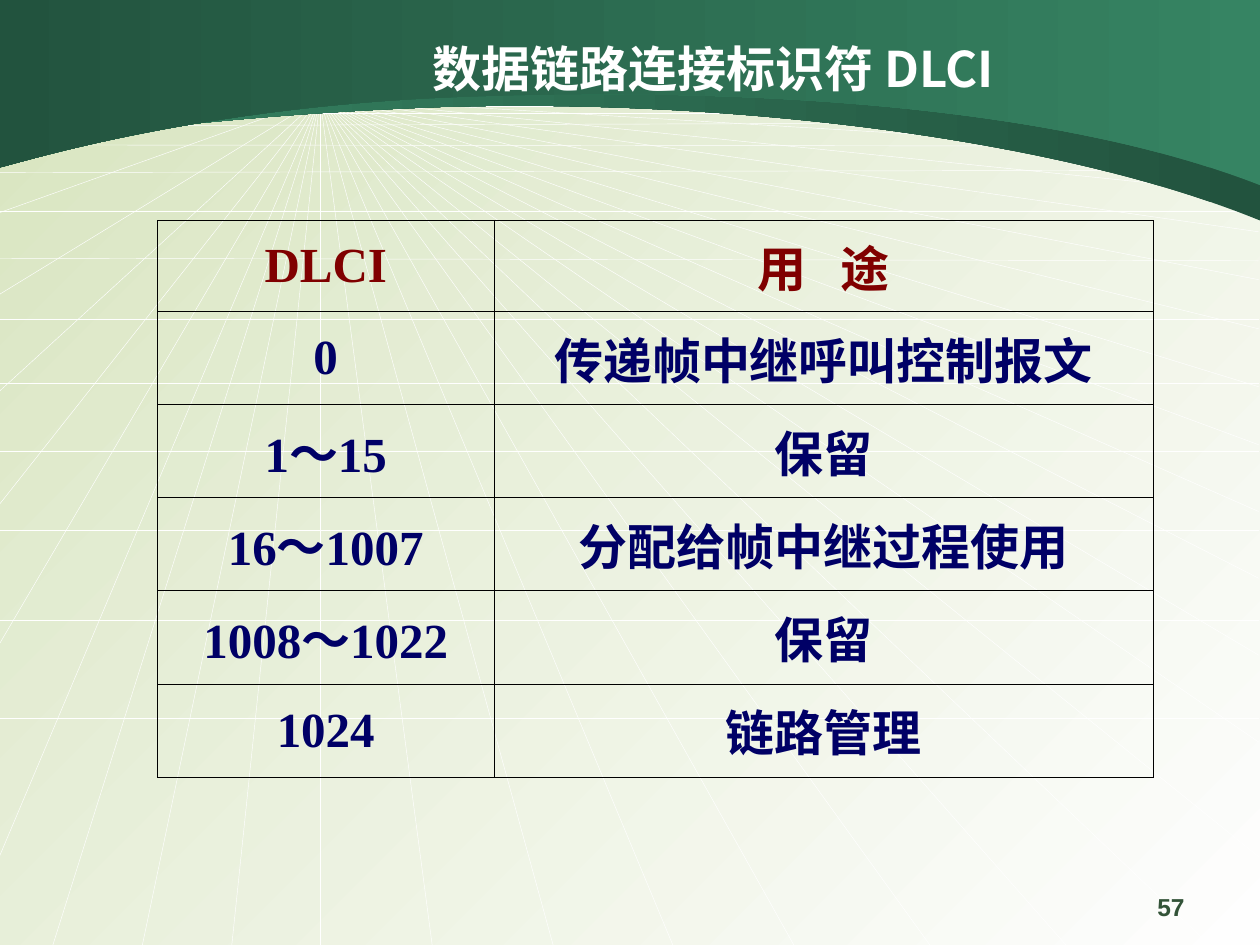
from lxml.etree import SubElement
from pptx import Presentation
from pptx.dml.color import RGBColor
from pptx.enum.shapes import MSO_CONNECTOR
from pptx.enum.text import MSO_ANCHOR, PP_ALIGN
from pptx.oxml.ns import qn
from pptx.oxml.xmlchemy import OxmlElement
from pptx.util import Inches, Pt

TITLE = "数据链路连接标识符 DLCI"
ROWS = [
    ("DLCI", "用   途"),
    ("0", "传递帧中继呼叫控制报文"),
    ("1～15", "保留"),
    ("16～1007", "分配给帧中继过程使用"),
    ("1008～1022", "保留"),
    ("1024", "链路管理"),
]
PAGE = "57"
COLS = (2.67, 5.23)
HEIGHTS = [0.72] + [0.74] * 5
HAN = "Noto Sans CJK SC"
DARK, LIGHT = "22533E", "368463"
HUB = (2.54, 0.78)
RIGHT = (1, 1.23, 1.54, 1.84, 2.22, 2.61, 3.07, 3.53, 4.06, 4.59, 5.2, 5.89, 6.8)
BASE = (0.42, 1.13, 1.84, 2.54, 3.43, 4.39, 5.34, 6.3, 7.38, 8.46, 9.6)
LEFT = (0.78, 0.97, 1.16, 1.69, 2.34, 3.11, 4.01, 5.12, 6.81)
LEVELS = [(0.84, 0.84), (0.9, 0.9), (1, 0.97), (1.15, 1.16), (1.37, 1.35),
          (1.68, 1.68), (2.05, 2.07), (2.53, 2.53), (3.04, 3.04), (3.58, 3.58),
          (4.21, 4.21), (4.92, 4.92), (5.7, 5.7)]
BANDS = [
    ([(-0.01, 1.19), (0.11, 1.18), (1.33, 0.93), (3.47, 0.85),
      (5.61, 0.78), (8.31, 1.06), (10, 1.75)], DARK, LIGHT),
    ([(-0.01, 1.33), (0.11, 1.31), (1.51, 0.85), (3.64, 0.77),
      (5.77, 0.69), (8.31, 0.81), (10, 1.47)], LIGHT, DARK),
]


def rgb(code):
    return RGBColor.from_string(code)


def put(frame, text, size=28, color="FFFFFF", face=HAN, align=PP_ALIGN.CENTER,
        anchor=MSO_ANCHOR.MIDDLE):
    frame.word_wrap = True
    frame.vertical_anchor = anchor
    para = frame.paragraphs[0]
    para.alignment = align
    run = para.add_run()
    run.text = text
    font = run.font
    font.size, font.bold, font.name = Pt(size), True, face
    font.color.rgb = rgb(color)
    SubElement(font._element, qn("a:ea")).set("typeface", HAN)


def shade(fill, first, last, angle):
    fill.gradient()
    fill.gradient_angle = angle
    for stop, code in zip(fill.gradient_stops, (first, last)):
        stop.color.rgb = rgb(code)


def ray(shapes, start, end):
    line = shapes.add_connector(MSO_CONNECTOR.STRAIGHT, *map(Inches, start + end))
    line.line.color.rgb = rgb("FFFFFF")
    line.line.width = Pt(0.25)
    SubElement(line._element.spPr, qn("a:effectLst"))
    return line


def bend(shape, count):
    lines = list(shape._element.iter(qn("a:lnTo")))[1:count]
    for i in range(0, len(lines), 3):
        arc = OxmlElement("a:cubicBezTo")
        lines[i].addprevious(arc)
        for line in lines[i:i + 3]:
            arc.append(line[0])
            line.getparent().remove(line)


def band(shapes, knots, first, last):
    pen = shapes.build_freeform(Inches(-0.01), 0)
    edge = [(Inches(x), Inches(y)) for x, y in knots + [(10, 0)]]
    pen.add_line_segments(edge, close=True)
    shape = pen.convert_to_shape()
    bend(shape, len(knots))
    shape.shadow.inherit = False
    shape.line.fill.background()
    shade(shape.fill, first, last, 180)
    return shape


def border(cell):
    props = cell._tc.get_or_add_tcPr()
    for side in ("lnL", "lnR", "lnT", "lnB"):
        line = SubElement(props, qn("a:" + side), w=str(Pt(0.45)))
        fill = SubElement(line, qn("a:solidFill"))
        SubElement(fill, qn("a:srgbClr"), val="000000")


def grid(shapes):
    spot = map(Inches, (1.25, 1.75, sum(COLS), sum(HEIGHTS)))
    table = shapes.add_table(len(ROWS), len(COLS), *spot).table
    table.first_row = table.horz_banding = False
    for col, width in zip(table.columns, COLS):
        col.width = Inches(width)
    for r, texts in enumerate(ROWS):
        table.rows[r].height = Inches(HEIGHTS[r])
        for c, text in enumerate(texts):
            cell = table.cell(r, c)
            border(cell)
            cell.fill.background()
            put(cell.text_frame, text, face="Times New Roman",
                color="000066" if r else "800000")
            cell.vertical_anchor = MSO_ANCHOR.MIDDLE


def scene(shapes, master):
    shade(master.background.fill, "FEFEFE", "D7E4BE", 135)
    ends = [(9.99, y) for y in RIGHT] + [(x, 7.5) for x in BASE]
    ends += [(-0.01, y) for y in LEFT]
    parts = [ray(shapes, HUB, end) for end in ends]
    parts += [ray(shapes, (-0.01, a), (9.99, b)) for a, b in LEVELS]
    parts += [band(shapes, *item) for item in BANDS]
    for part in parts:
        master.shapes._spTree.append(part._element)


def main():
    """Build the slide that lists DLCI ranges and their uses."""
    deck = Presentation()
    deck.slide_width, deck.slide_height = Inches(10), Inches(7.5)
    slide = deck.slides.add_slide(deck.slide_layouts[5])
    shapes = slide.shapes
    scene(shapes, deck.slide_master)
    title = shapes.title
    title.left, title.top, title.width, title.height = map(Inches, (1.62, 0.23, 8.08, 0.62))
    put(title.text_frame, TITLE)
    grid(shapes)
    box = shapes.add_textbox(*map(Inches, (7.17, 7.03, 2.33, 0.35)))
    put(box.text_frame, PAGE, size=14, color="335338", face="Arial",
        align=PP_ALIGN.RIGHT, anchor=MSO_ANCHOR.TOP)
    deck.save("out.pptx")


if __name__ == "__main__":
    main()
